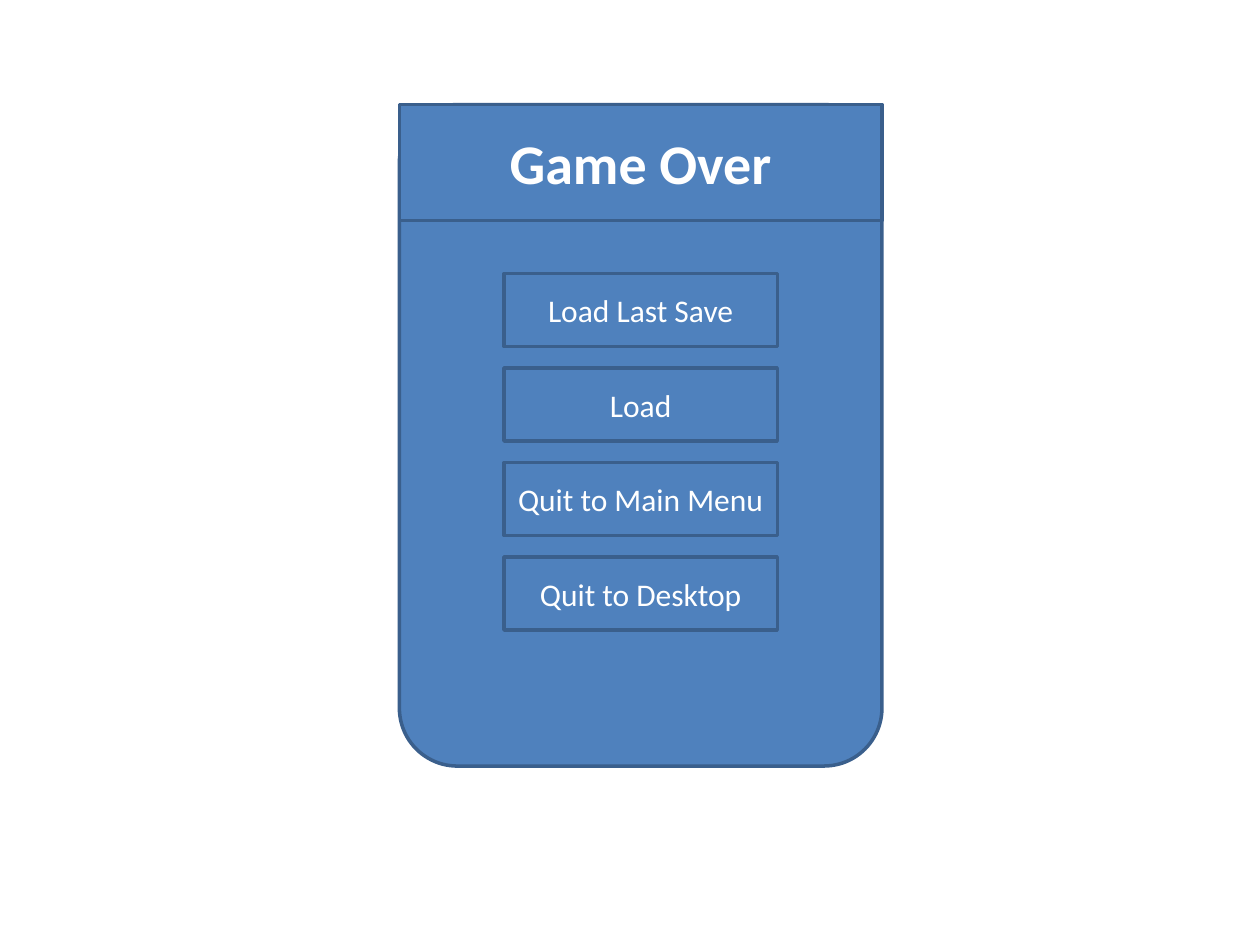
import pptx
import pptx.util
import pptx.dml.color
import pptx.enum.shapes
import pptx.enum.text
import pptx.oxml
from pptx.util import Inches

# Content
HEADING = "Game Over"
BUTTONS = ["Load Last Save", "Load", "Quit to Main Menu", "Quit to Desktop"]

# Layout in inches and colours
PANEL_LEFT, PANEL_TOP, PANEL_WIDTH, PANEL_HEIGHT = 3.17, 0.83, 3.83, 5.25
HEADER_HEIGHT = 0.92
CORNER_RADIUS = HEADER_HEIGHT / 2
BUTTON_LEFT, BUTTON_TOP, BUTTON_WIDTH, BUTTON_HEIGHT = 4, 2.17, 2.17, 0.58
BUTTON_PITCH = 0.75
BLUE, DARK_BLUE, WHITE = "4F81BD", "3A5F8C", "FFFFFF"
SHAPES = pptx.enum.shapes.MSO_SHAPE


def colour(hex_code):
    return pptx.dml.color.RGBColor.from_string(hex_code)


def paint(box):
    box.shadow.inherit = False
    box.fill.solid()
    box.fill.fore_color.rgb = colour(BLUE)
    box.line.color.rgb = colour(DARK_BLUE)
    box.line.width = pptx.util.Pt(2)


def write(box, text, size, bold=False):
    frame = box.text_frame
    frame.text = text
    frame.word_wrap = True
    frame.auto_size = pptx.enum.text.MSO_AUTO_SIZE.NONE
    frame.vertical_anchor = pptx.enum.text.MSO_ANCHOR.MIDDLE
    paragraph = frame.paragraphs[0]
    paragraph.alignment = pptx.enum.text.PP_ALIGN.CENTER
    font = paragraph.font
    font.name, font.size, font.bold = "Calibri", pptx.util.Pt(size), bold
    font.color.rgb = colour(WHITE)


def add_box(slide, kind, left, top, width, height):
    box = slide.shapes.add_shape(
        kind, Inches(left), Inches(top), Inches(width), Inches(height))
    paint(box)
    return box


def main():
    deck = pptx.Presentation()
    deck.slide_width, deck.slide_height = Inches(10), Inches(7.5)
    slide = deck.slides.add_slide(deck.slide_layouts[5])

    # Menu panel
    panel = add_box(slide, SHAPES.ROUNDED_RECTANGLE,
                    PANEL_LEFT, PANEL_TOP, PANEL_WIDTH, PANEL_HEIGHT)
    panel.adjustments[0] = CORNER_RADIUS / PANEL_WIDTH

    # Header: the title placeholder with rounded top corners, above the panel
    header = slide.shapes.title
    header.left, header.top = Inches(PANEL_LEFT), Inches(PANEL_TOP)
    header.width, header.height = Inches(PANEL_WIDTH), Inches(HEADER_HEIGHT)
    header.element.spPr.append(pptx.oxml.parse_xml(
        '<a:prstGeom xmlns:a="http://schemas.openxmlformats.org/drawingml/2006/main"'
        ' prst="round2SameRect"><a:avLst><a:gd name="adj1" fmla="val 50000"/>'
        '<a:gd name="adj2" fmla="val 0"/></a:avLst></a:prstGeom>'))
    paint(header)
    write(header, HEADING, 32, bold=True)
    panel.element.addnext(header.element)

    # Buttons
    for row, label in enumerate(BUTTONS):
        button = add_box(slide, SHAPES.RECTANGLE, BUTTON_LEFT,
                         BUTTON_TOP + row * BUTTON_PITCH, BUTTON_WIDTH, BUTTON_HEIGHT)
        write(button, label, 18)

    deck.save("out.pptx")


if __name__ == "__main__":
    main()
